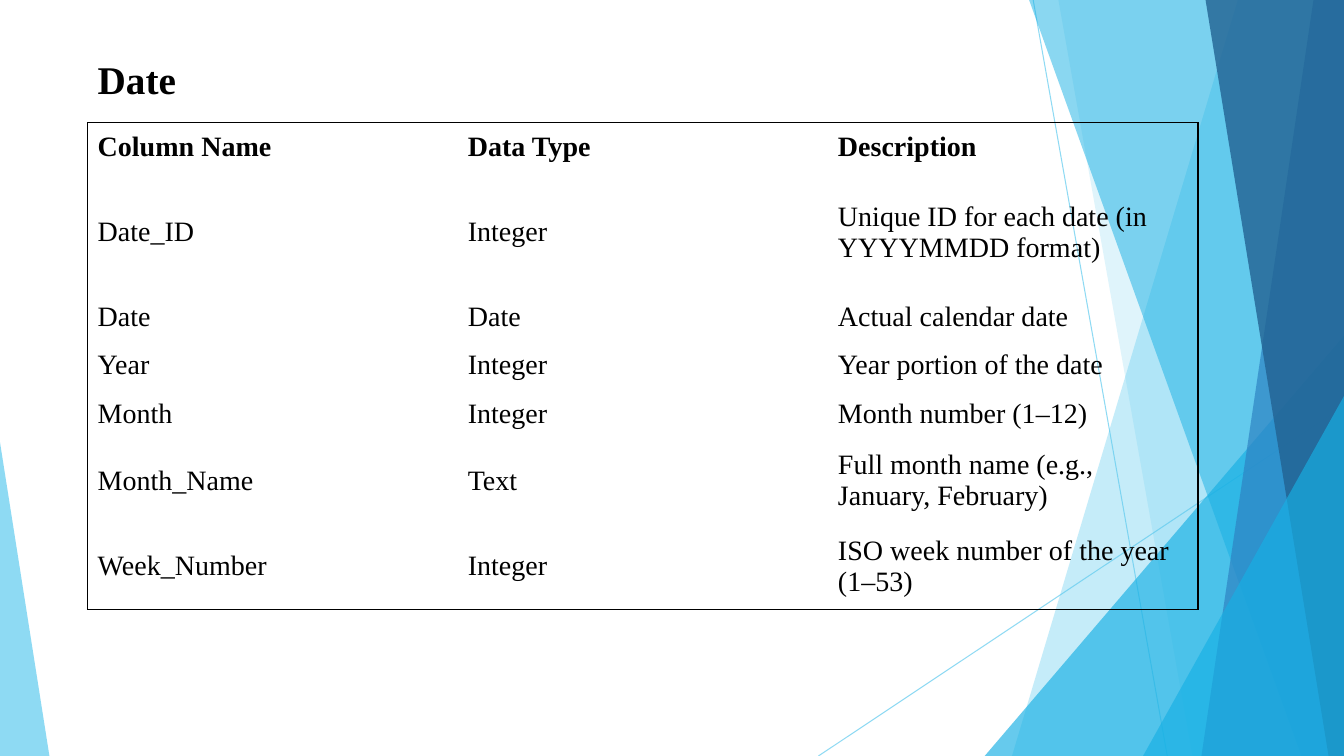
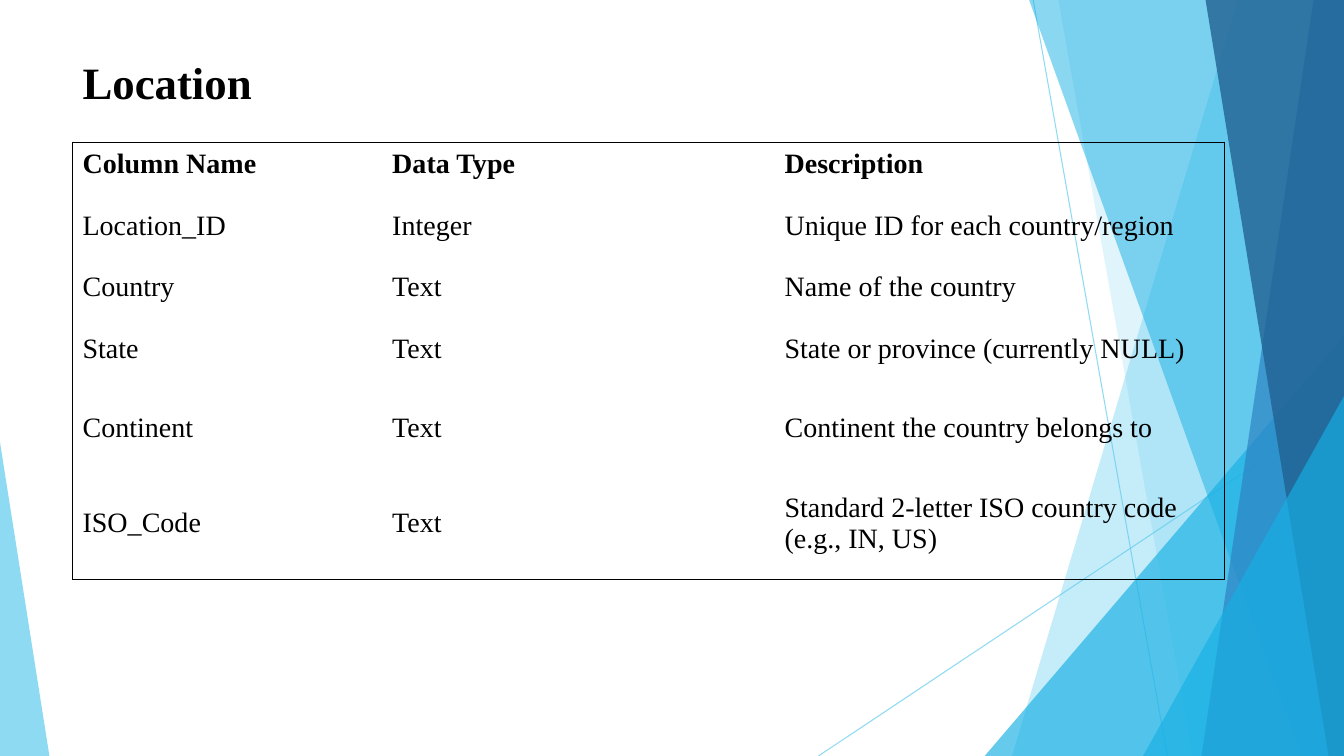
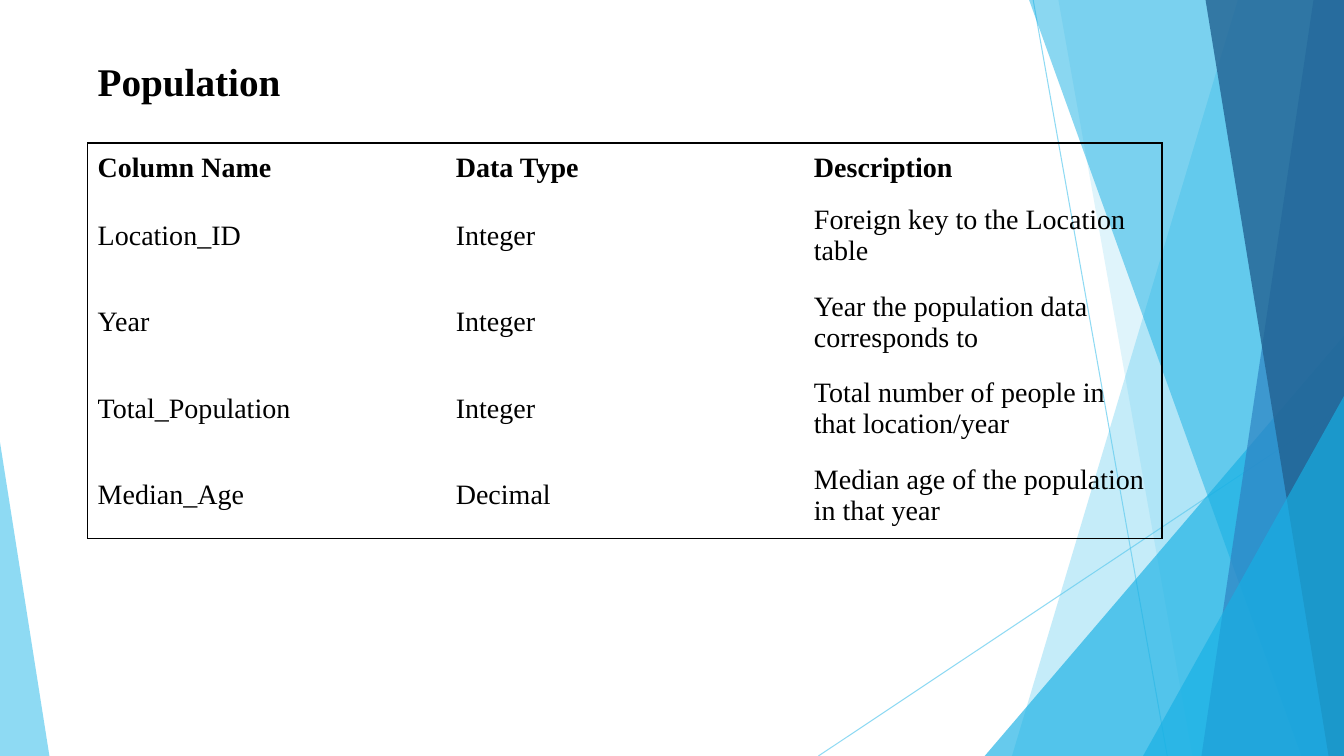
from lxml import etree
from pptx import Presentation
from pptx.dml.color import RGBColor
from pptx.enum import shapes, text
from pptx.oxml.ns import qn
from pptx.util import Pt

WIDTH, HEIGHT = 960, 540
FONT = "Times New Roman"
COLORS = {
    "ink": "000000",
    "sky": "5FCBEF",
    "cyan": "17B0E4",
    "blue": "2E83C3",
    "navy": "226292",
}

# Backdrop, from back to front.
RAYS = [((738, 0), (833.8, HEIGHT)), ((WIDTH, 290), (584.6, HEIGHT))]
# Bands reach the right edge: (kind, top x, bottom x, color, opacity).
# Triangles: (kind, left, top, width, corner, color, opacity).
FACETS = [
    ("band", 884.2, 722.9, "sky", 36),
    ("band", 756, 851.8, "sky", 20),
    ("triangle", 703.4, 239.8, 256.6, 1, "cyan", 66),
    ("band", 735.1, 929.5, "cyan", 50),
    ("band", 938.2, 858.2, "blue", 70),
    ("band", 861.1, 949, "navy", 80),
    ("triangle", 816.5, 283, 143.5, 1, "cyan", 66),
    ("triangle", 0, 316, 35.3, 0, "sky", 70),
]

HEADINGS = ("Column Name", "Data Type", "Description")
DICTIONARY = [
    dict(
        title="Date", title_top=36, title_size=28, left=62.6, top=87.8,
        widths=[264.4] * 3,
        heights=[34.5, 87, 34.5, 34.5, 34.5, 61.2, 61.2],
        fields=[
            ("Date_ID", "Integer", "Unique ID for each date (in YYYYMMDD format)"),
            ("Date", "Date", "Actual calendar date"),
            ("Year", "Integer", "Year portion of the date"),
            ("Month", "Integer", "Month number (1–12)"),
            ("Month_Name", "Text", "Full month name (e.g., January, February)"),
            ("Week_Number", "Integer", "ISO week number of the year (1–53)"),
        ],
    ),
    dict(
        title="Location", title_top=35.3, title_size=32, left=51.8, top=101.5,
        widths=[221.2, 280.3, 321.4],
        heights=[31.7, 56.2, 31.7, 56.2, 56.2, 80.6],
        fields=[
            ("Location_ID", "Integer", "Unique ID for each country/region"),
            ("Country", "Text", "Name of the country"),
            ("State", "Text", "State or province (currently NULL)"),
            ("Continent", "Text", "Continent the country belongs to"),
            ("ISO_Code", "Text", "Standard 2-letter ISO country code (e.g., IN, US)"),
        ],
    ),
    dict(
        title="Population", title_top=37.4, title_size=28, left=62.6, top=102.2,
        widths=[255.8] * 3,
        heights=[35.2] + [61.8] * 4,
        fields=[
            ("Location_ID", "Integer", "Foreign key to the Location table"),
            ("Year", "Integer", "Year the population data corresponds to"),
            ("Total_Population", "Integer", "Total number of people in that location/year"),
            ("Median_Age", "Decimal", "Median age of the population in that year"),
        ],
    ),
]


def write(frame, words, size=20, bold=False, color="ink"):
    frame.word_wrap = True
    paragraph = frame.paragraphs[0]
    paragraph.alignment = text.PP_ALIGN.LEFT
    run = paragraph.add_run()
    run.text = words
    run.font.name = FONT
    run.font.size = Pt(size)
    run.font.bold = bold
    run.font.color.rgb = RGBColor.from_string(COLORS[color])


def set_opacity(shape, percent):
    for color in shape.element.spPr.iter(qn("a:srgbClr")):
        etree.SubElement(color, qn("a:alpha"), val=str(percent * 1000))


def set_borders(cell, visible):
    """Draw the edges named in visible (of L, R, T, B) and clear the others."""
    properties = cell._tc.get_or_add_tcPr()
    for edge in "LRTB":
        border = etree.SubElement(properties, qn(f"a:ln{edge}"), w=str(Pt(1)))
        if edge in visible:
            fill = etree.SubElement(border, qn("a:solidFill"))
            etree.SubElement(fill, qn("a:srgbClr"), val=COLORS["ink"])
        else:
            etree.SubElement(border, qn("a:noFill"))


class Deck:
    def __init__(self):
        self.presentation = Presentation()
        self.presentation.slide_width = Pt(WIDTH)
        self.presentation.slide_height = Pt(HEIGHT)
        self.layout = self.presentation.slide_layouts[5]
        self.slide = None

    def add_slide(self):
        self.slide = self.presentation.slides.add_slide(self.layout)
        if len(self.presentation.slides) == 1:
            self.share_backdrop()

    def share_backdrop(self):
        """Draw the backdrop and move it to the layout, where all slides use it."""
        for footer in list(self.layout.placeholders)[1:]:
            self.layout.shapes.element.remove(footer.element)
        for start, end in RAYS:
            self.ray(start, end)
        for kind, *details in FACETS:
            getattr(self, kind)(*details)
        for part in list(self.slide.shapes):
            if not part.is_placeholder:
                self.layout.shapes.element.append(part.element)

    def ray(self, start, end):
        ray = self.slide.shapes.add_connector(
            shapes.MSO_CONNECTOR.STRAIGHT, *map(Pt, start + end))
        ray.line.width = Pt(0.75)
        ray.line.color.rgb = RGBColor.from_string(COLORS["sky"])
        set_opacity(ray, 70)
        etree.SubElement(ray.element.spPr, qn("a:effectLst"))

    def band(self, top_x, bottom_x, color, opacity):
        outline = self.slide.shapes.build_freeform(Pt(top_x), 0)
        corners = [(WIDTH, 0), (WIDTH, HEIGHT), (bottom_x, HEIGHT)]
        outline.add_line_segments([(Pt(x), Pt(y)) for x, y in corners])
        self.tint(outline.convert_to_shape(), color, opacity)

    def triangle(self, left, top, width, corner, color, opacity):
        triangle = self.slide.shapes.add_shape(
            shapes.MSO_SHAPE.ISOSCELES_TRIANGLE,
            Pt(left), Pt(top), Pt(width), Pt(HEIGHT - top))
        triangle.adjustments[0] = corner
        self.tint(triangle, color, opacity)

    def tint(self, facet, color, opacity):
        facet.shadow.inherit = False
        facet.line.fill.background()
        facet.fill.solid()
        facet.fill.fore_color.rgb = RGBColor.from_string(COLORS[color])
        set_opacity(facet, opacity)

    def title(self, words, left, top, size):
        title = self.slide.shapes.title
        title.left, title.top = Pt(left), Pt(top)
        title.width, title.height = Pt(480), Pt(size * 1.2 + 7.4)
        title.text_frame.vertical_anchor = text.MSO_ANCHOR.TOP
        title.text_frame.auto_size = text.MSO_AUTO_SIZE.SHAPE_TO_FIT_TEXT
        write(title.text_frame, words, size=size, bold=True)

    def table(self, rows, left, top, widths, heights):
        table = self.slide.shapes.add_table(
            len(rows), len(widths), Pt(left), Pt(top),
            Pt(sum(widths)), Pt(sum(heights))).table
        table.first_row = table.horz_banding = False
        for column, width in zip(table.columns, widths):
            column.width = Pt(width)
        for row, height in zip(table.rows, heights):
            row.height = Pt(height)
        last_row, last_column = len(rows) - 1, len(widths) - 1
        for r, row in enumerate(rows):
            for c, words in enumerate(row):
                cell = table.cell(r, c)
                cell.vertical_anchor = text.MSO_ANCHOR.MIDDLE
                outer = {"L": c == 0, "R": c == last_column,
                         "T": r == 0, "B": r == last_row}
                set_borders(cell, [edge for edge in outer if outer[edge]])
                cell.fill.background()
                write(cell.text_frame, words, bold=r == 0)


def main():
    deck = Deck()
    for entry in DICTIONARY:
        deck.add_slide()
        deck.table([HEADINGS] + entry["fields"], entry["left"], entry["top"],
                   entry["widths"], entry["heights"])
        deck.title(entry["title"], entry["left"], entry["title_top"],
                   entry["title_size"])
    deck.presentation.save("out.pptx")


if __name__ == "__main__":
    main()
